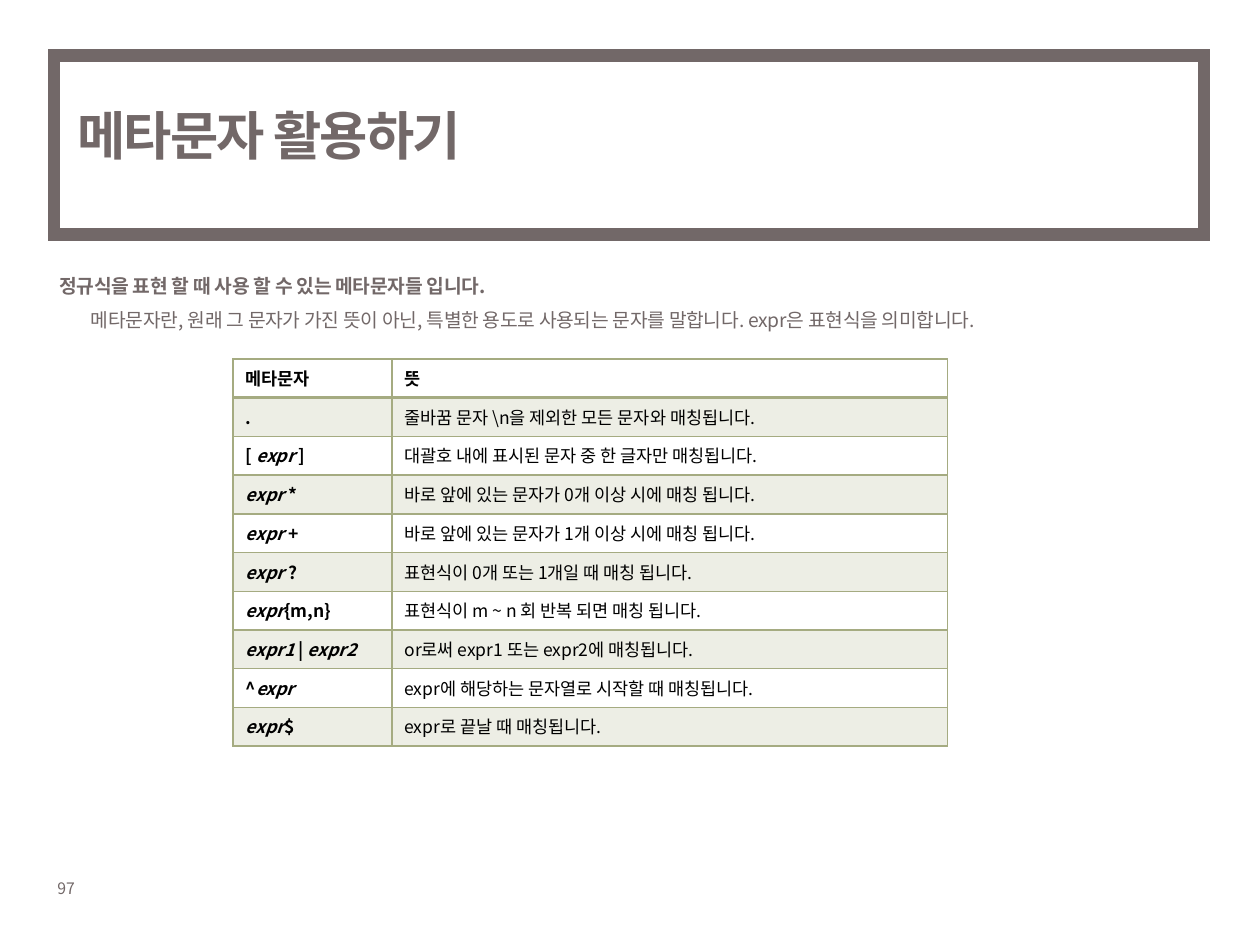
from lxml import etree
from pptx import Presentation, util as u
from pptx.dml.color import RGBColor
from pptx.enum import shapes, text
from pptx.oxml.ns import qn

FONT = "Noto Sans CJK KR"
TAUPE = RGBColor(0x72, 0x68, 0x68)
OLIVE = RGBColor(0xA5, 0xAB, 0x81)
BLACK = RGBColor(0, 0, 0)

TITLE_FORMAT = {"size": u.Pt(30), "bold": True}
LEAD_FORMAT = {"size": u.Pt(11), "bold": True}
DETAIL_FORMAT = {"size": u.Pt(11), "bold": False}
NUMBER_FORMAT = {"size": u.Pt(9), "bold": False}

ROWS = [
    (["메타문자"], "뜻"),
    (["."], "줄바꿈 문자 \\n을 제외한 모든 문자와 매칭됩니다."),
    (["[ ", "expr", " ]"], "대괄호 내에 표시된 문자 중 한 글자만 매칭됩니다."),
    (["expr ", "*"], "바로 앞에 있는 문자가 0개 이상 시에 매칭 됩니다."),
    (["expr ", "+"], "바로 앞에 있는 문자가 1개 이상 시에 매칭 됩니다."),
    (["expr", " ?"], "표현식이 0개 또는 1개일 때 매칭 됩니다."),
    (["expr", "{m,n}"], "표현식이 m ~ n 회 반복 되면 매칭 됩니다."),
    (["expr1", " | ", "expr2"], "or로써 expr1 또는 expr2에 매칭됩니다."),
    (["^", "expr"], "expr에 해당하는 문자열로 시작할 때 매칭됩니다."),
    (["expr", "$"], "expr로 끝날 때 매칭됩니다."),
]


def add_run(paragraph, content, color, values, spacing=0):
    run = paragraph.add_run()
    run.text = content
    run.font.name = FONT
    run.font.color.rgb = color
    for name, value in values.items():
        setattr(run.font, name, value)
    properties = run.font._element
    properties.set("spc", str(spacing))
    east_asian = etree.SubElement(properties, qn("a:ea"))
    east_asian.set("typeface", FONT)


def add_border(cell, side, width):
    line = etree.SubElement(cell._tc.get_or_add_tcPr(), qn(f"a:ln{side}"), w=str(u.Pt(width)))
    fill = etree.SubElement(line, qn("a:solidFill"))
    etree.SubElement(fill, qn("a:srgbClr"), val=str(OLIVE))


presentation = Presentation()
presentation.slide_width = u.Cm(25.4)
presentation.slide_height = u.Cm(19.05)
slide = presentation.slides.add_slide(presentation.slide_layouts[1])

title = slide.shapes.title
body = slide.placeholders[1]
number = slide.shapes.add_textbox(u.Cm(0.91), u.Cm(17.6), u.Cm(1.32), u.Cm(0.64))
for shape, box in (
    (title, (1.3, 1.12, 20.6, 3.2)),
    (body, (0.94, 5.16, 23.37, 1.57)),
):
    shape.left, shape.top, shape.width, shape.height = map(u.Cm, box)
    shape.text_frame.auto_size = text.MSO_AUTO_SIZE.NONE

title.text_frame.vertical_anchor = text.MSO_ANCHOR.MIDDLE
paragraph = title.text_frame.paragraphs[0]
paragraph.alignment = text.PP_ALIGN.LEFT
add_run(paragraph, "메타문자 활용하기", TAUPE, TITLE_FORMAT, -100)

frame = slide.shapes.add_shape(
    shapes.MSO_SHAPE.RECTANGLE, u.Cm(1.09), u.Cm(1.12), u.Cm(23.19), u.Cm(3.61)
)
frame.shadow.inherit = False
frame.fill.background()
frame.line.color.rgb = TAUPE
frame.line.width = u.Pt(7)
etree.SubElement(frame.line._get_or_add_ln(), qn("a:miter"), lim="800000")

body.text_frame.add_paragraph()
body_lines = (
    ("정규식을 표현 할 때 사용 할 수 있는 메타문자들 입니다.", LEAD_FORMAT, -0.64),
    (
        "메타문자란, 원래 그 문자가 가진 뜻이 아닌, 특별한 용도로 사용되는 문자를 말합니다. expr은 표현식을 의미합니다.",
        DETAIL_FORMAT,
        0,
    ),
)
for paragraph, (content, values, indent) in zip(body.text_frame.paragraphs, body_lines):
    properties = paragraph._p.get_or_add_pPr()
    properties.set("marL", str(u.Cm(0.64)))
    properties.set("indent", str(u.Cm(indent)))
    etree.SubElement(properties, qn("a:buNone"))
    paragraph.line_spacing = 1.5
    paragraph.space_before = u.Pt(0)
    add_run(paragraph, content, TAUPE, values, -20)

number.text_frame.word_wrap = False
number.text_frame.auto_size = text.MSO_AUTO_SIZE.SHAPE_TO_FIT_TEXT
add_run(number.text_frame.paragraphs[0], "97", TAUPE, NUMBER_FORMAT)

table = slide.shapes.add_table(
    len(ROWS), 2, u.Cm(4.7), u.Cm(7.24), u.Cm(14.4), u.Cm(7.82)
).table
for column, width in zip(table.columns, (3.2, 11.2)):
    column.width = u.Cm(width)

for row_index, (symbols, meaning) in enumerate(ROWS):
    table.rows[row_index].height = u.Cm(0.78)
    for column_index, parts in enumerate((symbols, [meaning])):
        cell = table.cell(row_index, column_index)
        is_symbol = column_index == 0
        for part in parts:
            values = {
                "size": u.Pt(10),
                "bold": is_symbol or row_index == 0,
                "italic": is_symbol and part.startswith("expr"),
            }
            add_run(cell.text_frame.paragraphs[0], part, BLACK, values)
        for side in "LRTB":
            under_header = (row_index, side) in ((0, "B"), (1, "T"))
            add_border(cell, side, 2 if under_header else 1)
        if row_index % 2:
            cell.fill.solid()
            cell.fill.fore_color.rgb = OLIVE
            color = cell._tc.tcPr.find(qn("a:solidFill")).find(qn("a:srgbClr"))
            etree.SubElement(color, qn("a:alpha"), val="20000")
        else:
            cell.fill.background()

presentation.save("out.pptx")
